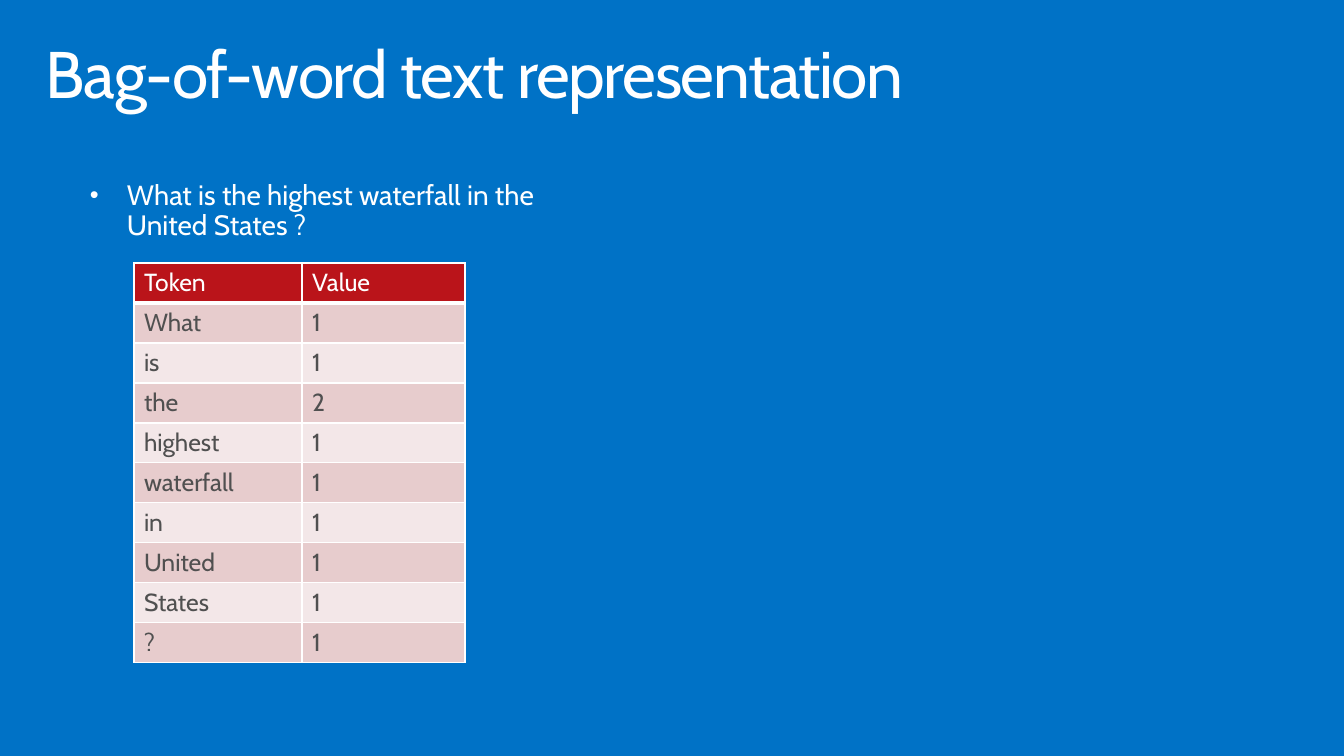
from lxml.etree import SubElement
from pptx import Presentation
from pptx.dml.color import RGBColor
from pptx.oxml.ns import qn
from pptx.util import Emu, Pt

PX = 9255
WHITE, BLUE, RED, GREY = "FFFFFF", "0072C6", "BA141A", "505050"
BANDS = ("E7CCCD", "F3E7E8")
QUESTION = "What is the highest waterfall in the United States ?"
TOKEN_COUNTS = [
    ("What", 1), ("is", 1), ("the", 2), ("highest", 1), ("waterfall", 1),
    ("in", 1), ("United", 1), ("States", 1), ("?", 1),
]


def px(length):
    return Emu(length * PX)


def color(value):
    return RGBColor.from_string(value)


class Page:
    """Holds the font and the current slide."""

    font = "Cabin"

    def __init__(self, deck, background):
        self.slide = deck.slides.add_slide(deck.slide_layouts[6])
        fill = self.slide.background.fill
        fill.solid()
        fill.fore_color.rgb = color(background)

    def span(self, para, text, size, ink):
        run = para.add_run()
        run.text = text
        run.font.name = self.font
        run.font.size = Pt(size)
        run.font.color.rgb = color(ink)
        return run

    def text(self, left, top, width, height, text, size):
        box = self.slide.shapes.add_textbox(px(left), px(top), px(width), px(height))
        frame = box.text_frame
        frame.word_wrap = True
        frame.margin_left = frame.margin_right = px(16)
        frame.margin_top = frame.margin_bottom = px(10)
        para = frame.paragraphs[0]
        para.line_spacing = 0.9
        return para, self.span(para, text, size, WHITE)

    def title(self, left, top, width, height, text):
        _, span = self.text(left, top, width, height, text, 48)
        span.font._element.set("spc", "-100")

    def bullet(self, left, top, width, height, text):
        para, _ = self.text(left, top, width, height, text, 20.4)
        properties = para._p.get_or_add_pPr()
        properties.set("marL", str(px(37)))
        properties.set("indent", str(-px(37)))
        SubElement(properties, qn("a:buSzPct"), val="90000")
        SubElement(properties, qn("a:buFont"), typeface="Arial")
        SubElement(properties, qn("a:buChar"), char="•")

    def borders(self, cell, bottom):
        """Draws white cell borders; bottom is the lower line's width in points."""
        properties = cell._tc.get_or_add_tcPr()
        for side, width in (("L", 1), ("R", 1), ("T", 1), ("B", bottom)):
            line = SubElement(properties, qn(f"a:ln{side}"), w=str(Pt(width)))
            fill = SubElement(line, qn("a:solidFill"))
            SubElement(fill, qn("a:srgbClr"), val=WHITE)

    def cell(self, cell, text, fill, ink, bottom):
        cell.margin_left = cell.margin_right = px(10)
        cell.margin_top = cell.margin_bottom = px(5)
        self.borders(cell, bottom)
        cell.fill.solid()
        cell.fill.fore_color.rgb = color(fill)
        self.span(cell.text_frame.paragraphs[0], text, 18, ink)

    def table(self, left, top, widths, row_height, header, rows):
        lines = [header, *rows]
        table = self.slide.shapes.add_table(
            len(lines), len(widths), px(left), px(top),
            px(sum(widths)), px(row_height * len(lines)),
        ).table
        for column, width in zip(table.columns, widths):
            column.width = px(width)
        for index, line in enumerate(lines):
            table.rows[index].height = px(row_height)
            if index == 0:
                style = RED, WHITE, 3
            else:
                style = BANDS[(index - 1) % 2], GREY, 3 if index == 0 else 1
            for column, value in enumerate(line):
                self.cell(table.cell(index, column), str(value), *style)


def main():
    deck = Presentation()
    deck.slide_width, deck.slide_height = px(1344), px(756)
    page = Page(deck, BLUE)
    page.title(30, 32, 1284, 99, "Bag-of-word text representation")
    page.bullet(74, 171, 511, 479, QUESTION)
    page.table(134, 263, (168, 163), 40, ("Token", "Value"), TOKEN_COUNTS)
    deck.save("out.pptx")


if __name__ == "__main__":
    main()
